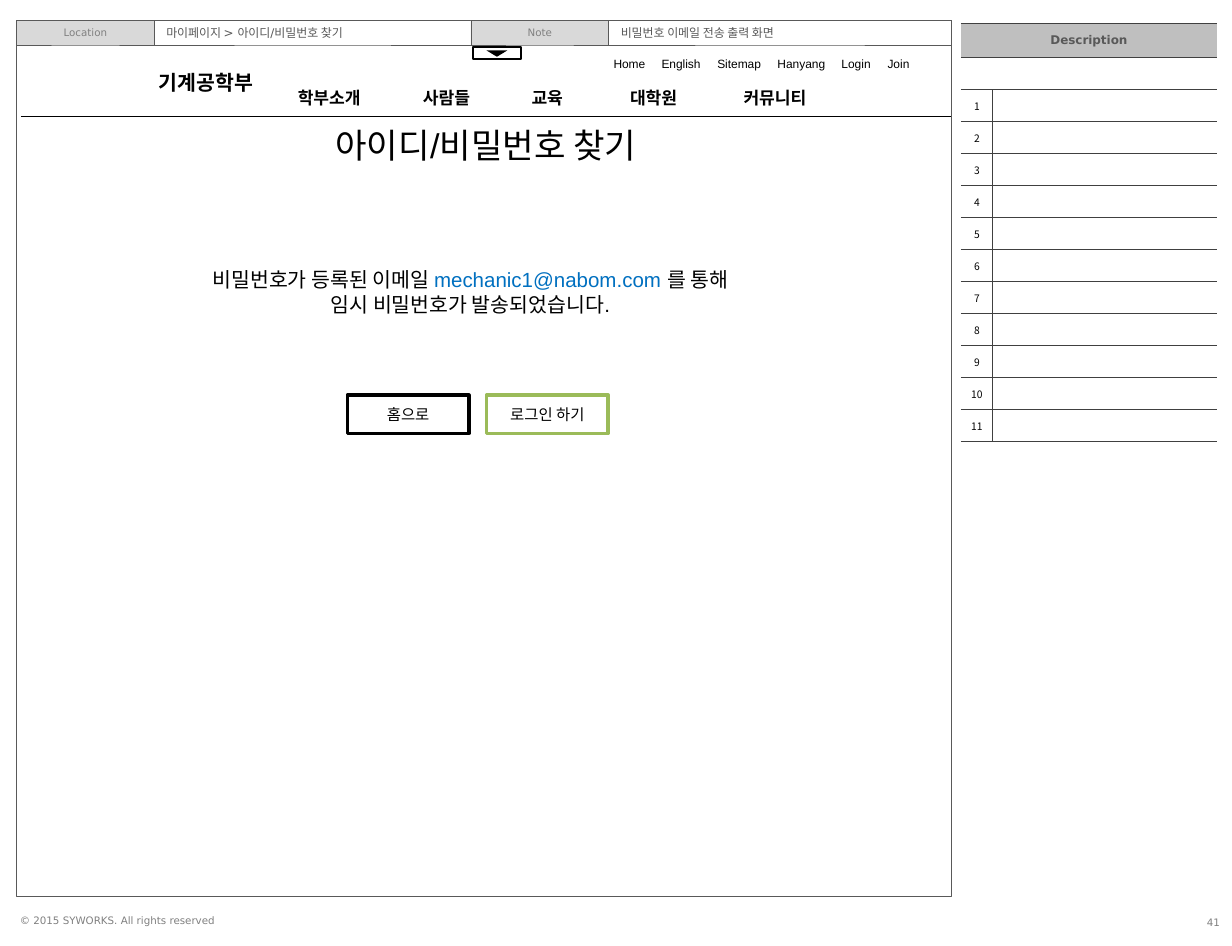
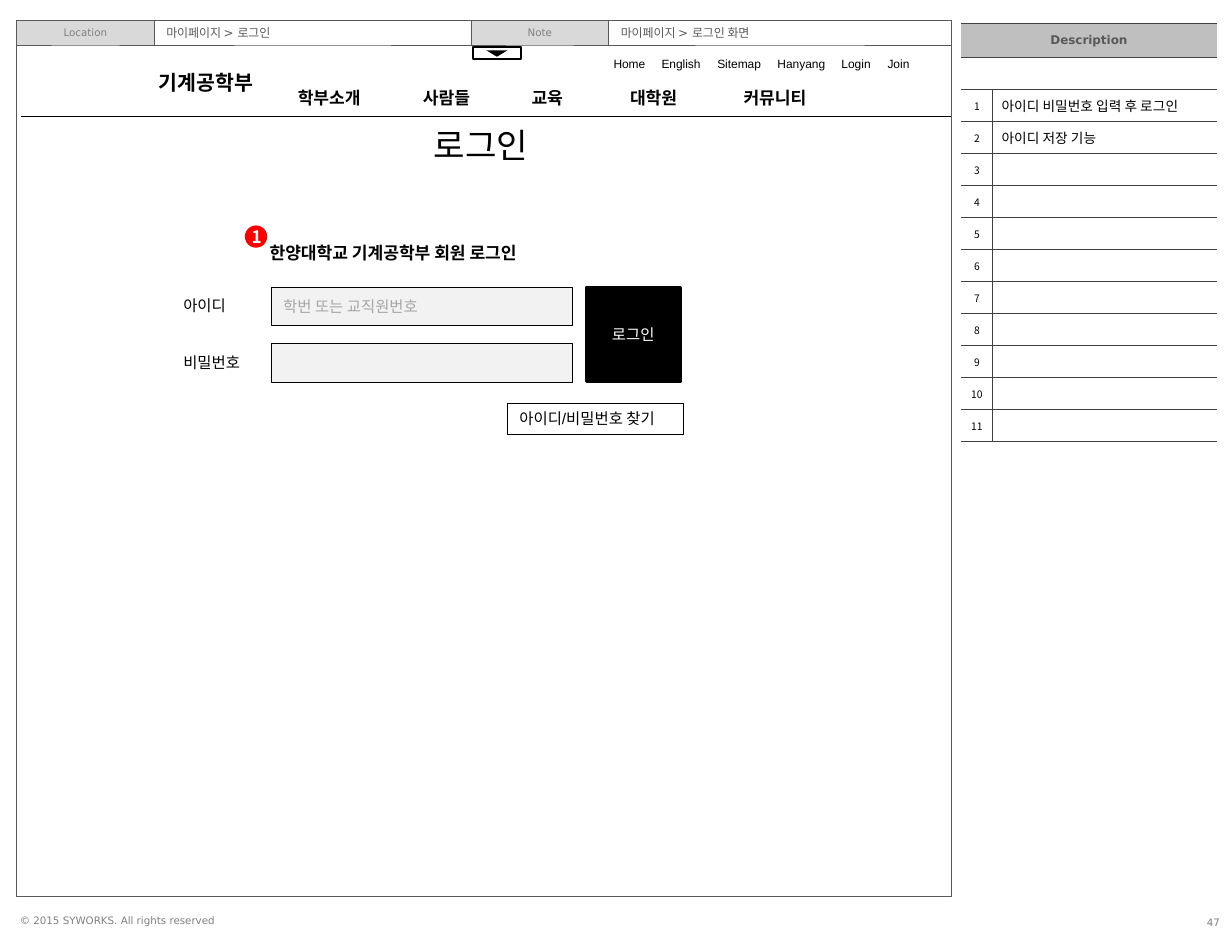
"""Build two member-page storyboard slides: password mail notice and login."""
from dataclasses import dataclass
from itertools import product
from typing import Any, Optional

from lxml import etree
from pptx import Presentation, util as u
from pptx.dml import color
from pptx.enum import shapes, text
from pptx.oxml import ns

COLORS = {
    "black": "000000", "white": "FFFFFF", "frame": "595959", "muted": "808080",
    "label": "D9D9D9", "band": "BFBFBF", "rule": "404040", "field": "F2F2F2",
    "hint": "A6A6A6", "mail": "0070C0", "green": "9BBB59", "red": "FF0000",
}
KOREAN = "Noto Sans CJK KR"
FORMATS: dict[str, dict[str, Any]] = {
    "small": {"size": u.Pt(6), "name": "DejaVu Sans"},
    "crumb": {"size": u.Pt(7), "name": "DejaVu Sans"},
    "heading": {"size": u.Pt(7), "name": "DejaVu Sans", "bold": True},
    "number": {"size": u.Pt(6), "name": KOREAN, "bold": False},
    "remark": {"size": u.Pt(8), "name": "Arial", "bold": False},
    "utility": {"size": u.Pt(7), "name": "Arial"},
    "menu": {"size": u.Pt(10), "name": "Arial", "bold": True},
    "site": {"size": u.Pt(12), "name": "Arial", "bold": True},
    "title": {"size": u.Pt(20), "name": "Arial"},
    "message": {"size": u.Pt(12), "name": "Arial"},
    "label": {"size": u.Pt(9), "name": "Arial"},
    "button": {"size": u.Pt(9), "name": KOREAN},
    "marker": {"size": u.Pt(10), "name": KOREAN, "bold": True},
}
ALIGN = {"l": text.PP_ALIGN.LEFT, "c": text.PP_ALIGN.CENTER, "r": text.PP_ALIGN.RIGHT}
ANCHOR = {"t": text.MSO_ANCHOR.TOP, "m": text.MSO_ANCHOR.MIDDLE}
KIND = {
    "rect": shapes.MSO_SHAPE.RECTANGLE,
    "triangle": shapes.MSO_SHAPE.ISOSCELES_TRIANGLE,
    "ellipse": shapes.MSO_SHAPE.OVAL,
}
SIDES = ("margin_left", "margin_top", "margin_right", "margin_bottom")
CELL_MARGINS = (0.18, 0.1, 0.18, 0.1)
HEADER_TOP, HEADER_HEIGHT = 0.42, 0.51
HEADER_LEFT, LABEL_WIDTH = 0.34, 2.84
LOCATION_WIDTH, NOTE_WIDTH = 6.53, 7.06
ROW_COUNT = 11
MENU = ("학부소개", "사람들", "교육", "대학원", "커뮤니티")
UTILITY = ("Home", "English", "Sitemap", "Hanyang", "Login", "Join")


@dataclass(frozen=True)
class Block:
    """A text box, or a shape when a kind is given; lengths in cm."""
    at: tuple[float, float, float, float]
    words: str = ""
    style: str = "label"
    ink: str = "black"
    accent: str = ""
    align: str = "l"
    anchor: str = "t"
    wrap: bool = False
    margins: Optional[tuple[float, ...]] = None
    tabs: tuple[float, ...] = ()
    kind: Optional[str] = None
    fill: Optional[str] = None
    line: Optional[str] = None
    weight: float = 0.25
    turn: float = 0


@dataclass(frozen=True)
class Screen:
    """What differs from one storyboard slide to the next."""
    number: int
    location: str
    note: str
    blocks: tuple[Block, ...]
    remarks: tuple[str, ...] = ()


def rgb(name: str) -> color.RGBColor:
    """Look up a named colour."""
    return color.RGBColor.from_string(COLORS[name])


def add_span(para: Any, words: str, style: str, ink: str) -> None:
    """Add one formatted run to a paragraph."""
    span = para.add_run()
    span.text = words
    for key, value in FORMATS[style].items():
        setattr(span.font, key, value)
    span.font.color.rgb = rgb(ink)
    etree.SubElement(span.font._element, ns.qn("a:ea"), typeface=KOREAN)


def set_margins(target: Any, margins: tuple[float, ...]) -> None:
    """Set the four insets of a text frame or a cell."""
    for side, value in zip(SIDES, margins):
        setattr(target, side, u.Cm(value))


def fill_text(box: Any, block: Block) -> None:
    """Write the paragraphs of a block into its box."""
    frame = box.text_frame
    frame.word_wrap = block.wrap
    frame.vertical_anchor = ANCHOR[block.anchor]
    if block.margins:
        set_margins(frame, block.margins)
    for index, words in enumerate(block.words.split("\n")):
        para = frame.add_paragraph() if index else frame.paragraphs[0]
        para.alignment = ALIGN[block.align]
        if block.tabs:
            stops = etree.SubElement(para._p.get_or_add_pPr(), ns.qn("a:tabLst"))
            for stop in block.tabs:
                etree.SubElement(stops, ns.qn("a:tab"), pos=str(u.Cm(stop)), algn="l")
        pieces = words.partition(block.accent) if block.accent else (words,)
        for piece in filter(None, pieces):
            ink = "mail" if piece == block.accent else block.ink
            add_span(para, piece, block.style, ink)


def draw(page: Any, block: Block) -> None:
    """Draw one block on a page."""
    place = [u.Cm(value) for value in block.at]
    if block.kind:
        box = page.shapes.add_shape(KIND[block.kind], *place)
        box.shadow.inherit = False
        box.rotation = block.turn
        if block.fill:
            box.fill.solid()
            box.fill.fore_color.rgb = rgb(block.fill)
        else:
            box.fill.background()
        if block.line:
            box.line.color.rgb = rgb(block.line)
            box.line.width = u.Pt(block.weight)
        else:
            box.line.fill.background()
    else:
        box = page.shapes.add_textbox(*place)
    if block.words:
        fill_text(box, block)


def add_borders(cell: Any, sides: str) -> None:
    """Rule the named sides of a cell and clear the others."""
    props = cell._tc.get_or_add_tcPr()
    for side in "LRTB":
        edge = etree.SubElement(props, ns.qn(f"a:ln{side}"), w=str(u.Pt(0.5)))
        if side in sides:
            paint = etree.SubElement(edge, ns.qn("a:solidFill"))
            etree.SubElement(paint, ns.qn("a:srgbClr"), val=COLORS["rule"])
        else:
            etree.SubElement(edge, ns.qn("a:noFill"))


def fill_cell(cell: Any, words: str, style: str, ink: str, align: str) -> None:
    """Write a table cell, keeping an empty one low."""
    para = cell.text_frame.paragraphs[0]
    para.alignment = ALIGN[align]
    if words:
        add_span(para, words, style, ink)
    else:
        etree.SubElement(para._p, ns.qn("a:endParaRPr"), sz="600")


def add_description(page: Any, remarks: tuple[str, ...]) -> None:
    """Add the numbered description table."""
    rows = ROW_COUNT + 2
    holder = page.shapes.add_table(rows, 2, u.Cm(19.81), u.Cm(0.48), u.Cm(5.28), u.Cm(8.63))
    table = holder.table
    table.first_row = table.horz_banding = False
    for column, width in zip(table.columns, (0.66, 4.62)):
        column.width = u.Cm(width)
    for index, row in enumerate(table.rows):
        row.height = u.Cm(0.66 if index else 0.71)
    for index, side in product(range(rows), range(2)):
        cell = table.cell(index, side)
        cell.vertical_anchor = ANCHOR["m"]
        set_margins(cell, CELL_MARGINS)
        add_borders(cell, "TB" + ("RL"[side] if index > 1 else ""))
        cell.fill.solid()
        cell.fill.fore_color.rgb = rgb("white" if index else "band")
        if index > 1 and side == 0:
            fill_cell(cell, str(index - 1), "number", "black", "c")
        elif 1 < index < len(remarks) + 2:
            fill_cell(cell, remarks[index - 2], "remark", "black", "l")
        elif index == side == 0:
            fill_cell(cell, "Description", "heading", "frame", "c")
        else:
            fill_cell(cell, "", "remark", "black", "l")
    for index in range(2):
        table.cell(index, 0).merge(table.cell(index, 1))


def add_header(page: Any, screen: Screen) -> None:
    """Draw the location and note strip."""
    left = HEADER_LEFT
    pairs = (("Location", screen.location, LOCATION_WIDTH), ("Note", screen.note, NOTE_WIDTH))
    for label, value, width in pairs:
        draw(page, Block((left, HEADER_TOP, LABEL_WIDTH, HEADER_HEIGHT), label, "small", "muted",
                         align="c", anchor="m", wrap=True, kind="rect", fill="label", line="frame"))
        left += LABEL_WIDTH
        draw(page, Block((left, HEADER_TOP, width, HEADER_HEIGHT), value, "crumb", "frame",
                         anchor="m", wrap=True, kind="rect", line="frame"))
        left += width


def add_rule(page: Any) -> None:
    """Draw the line under the site menu."""
    rule = page.shapes.add_connector(
        shapes.MSO_CONNECTOR.STRAIGHT, u.Cm(0.43), u.Cm(2.41), u.Cm(19.61), u.Cm(2.41))
    rule.line.color.rgb = rgb("black")
    rule.line.width = u.Pt(0.75)
    etree.SubElement(rule._element.spPr, ns.qn("a:effectLst"))


SHARED = (
    Block((1.19 * 2.54, 1.32, 2.64, 0.76), "기계공학부", "site"),
    Block((5.89, 1.68, 12.83, 0.69), "\t".join(MENU), "menu", wrap=True,
          tabs=(2.58, 4.82, 6.85, 9.19)),
    Block((9.75, 0.97, 0.99, 0.25), kind="rect", fill="white", line="black", weight=1),
    Block((10.03, 1.04, 0.43, 0.13), kind="triangle", fill="black", turn=180),
    Block((12.4, 1.04, 7.21, 0.56), "\t".join(UTILITY), "utility", wrap=True,
          tabs=(0.99, 2.14, 3.38, 4.7, 5.65)),
)


def button(left: float, words: str, line: str) -> Block:
    """Describe an outlined button below the notice."""
    return Block((left, 8.15, 2.51, 0.79), words, "button", align="c", anchor="m", wrap=True,
                 kind="rect", fill="white", line=line, weight=2)


def field(top: float, hint: str = "") -> Block:
    """Describe an input field of the login form."""
    return Block((5.59, top, 6.22, 0.79), hint, "button", "hint", anchor="m", wrap=True,
                 kind="rect", fill="field", line="black", weight=0.5)


SCREENS = (
    Screen(41, "마이페이지 > 아이디/비밀번호 찾기", "비밀번호 이메일 전송 출력 화면", (
        Block((6.3, 2.44, 7.44, 1.12), "아이디/비밀번호 찾기", "title", align="c"),
        Block((3.86, 5.38, 11.68, 1.27),
              "비밀번호가 등록된 이메일 mechanic1@nabom.com 를 통해\n임시 비밀번호가 발송되었습니다.",
              "message", accent="mechanic1@nabom.com ", align="c"),
        button(10.03, "로그인 하기", "green"),
        button(7.16, "홈으로", "black"),
    )),
    Screen(47, "마이페이지 > 로그인", "마이페이지 > 로그인 화면", (
        Block((8.69, 2.44, 2.64, 1.12), "로그인", "title"),
        Block((5.31, 4.88, 6.22, 0.69), "한양대학교 기계공학부 회원 로그인", "menu"),
        field(5.92, "학번 또는 교직원번호"),
        field(7.09),
        Block((12.09, 5.94, 1.93, 1.93), "로그인", "button", "white", align="c", anchor="m",
              wrap=True, kind="rect", fill="black", line="black", weight=2),
        Block((10.46, 8.31, 3.63, 0.64), "아이디/비밀번호 찾기", kind="rect", fill="white",
              line="black", weight=0.1),
        Block((5.05, 4.65, 0.46, 0.46), "1", "marker", "white", align="r", anchor="m", wrap=True,
              margins=(0.1, 0.13, 0.25, 0.13), kind="ellipse", fill="red"),
        Block((3.53, 5.99, 1.47, 0.64), "아이디"),
        Block((3.53, 7.16, 1.8, 0.64), "비밀번호"),
    ), ("아이디 비밀번호 입력 후 로그인", "아이디 저장 기능")),
)


def add_screen(deck: Any, screen: Screen) -> None:
    """Build one storyboard slide."""
    page = deck.slides.add_slide(deck.slide_layouts[6])
    draw(page, Block((0.41, 18.85, 4.14, 0.25), "© 2015 SYWORKS. All rights reserved", "small",
                     "muted", margins=(0, 0, 0, 0)))
    draw(page, Block((HEADER_LEFT, HEADER_TOP, 19.27, 18.06), kind="rect", line="frame"))
    add_header(page, screen)
    draw(page, Block((24.21, 18.67, 1.19, 0.71), str(screen.number), "small", "muted",
                     align="r", anchor="m", wrap=True))
    add_description(page, screen.remarks)
    add_rule(page)
    for block in SHARED + screen.blocks:
        draw(page, block)


def main() -> None:
    """Create and save the deck."""
    deck = Presentation()
    deck.slide_width, deck.slide_height = u.Cm(25.4), u.Cm(19.51)
    for screen in SCREENS:
        add_screen(deck, screen)
    deck.save("out.pptx")


if __name__ == "__main__":
    main()
